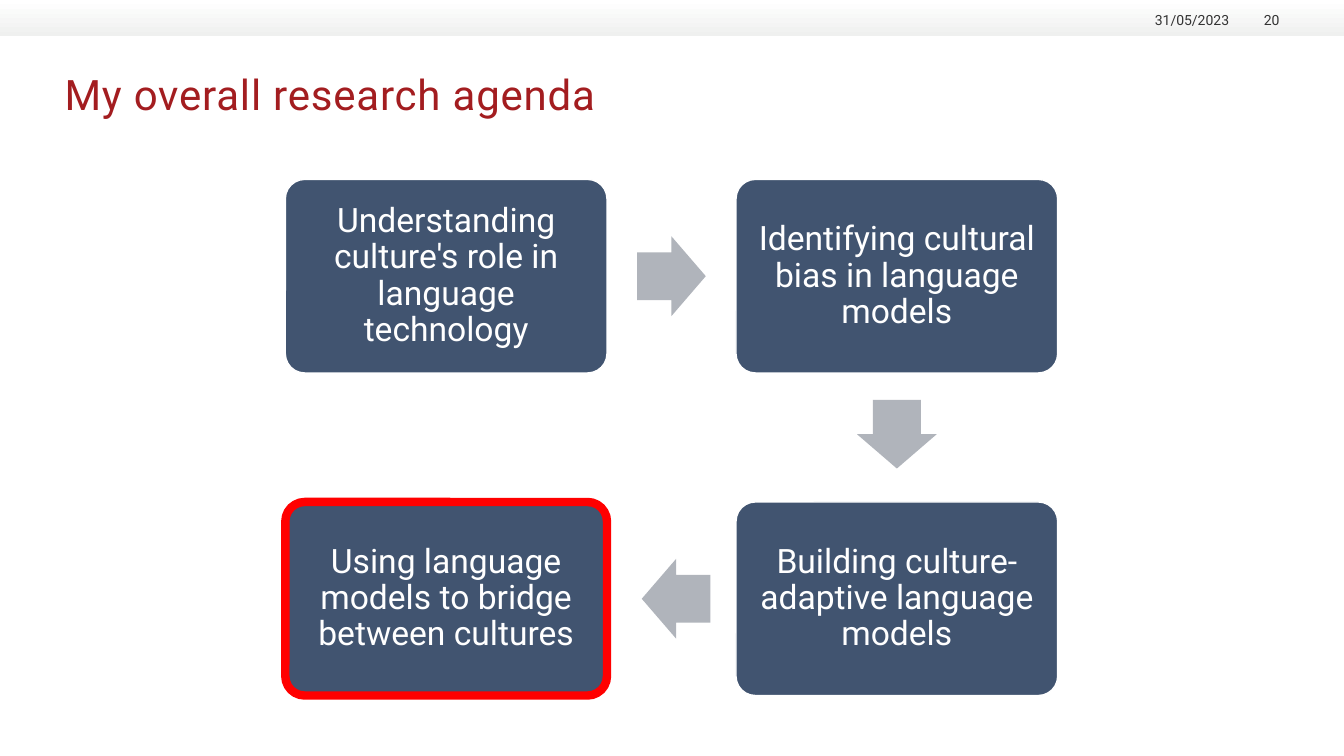
import dataclasses
import typing

import pptx
import pptx.dml.color
import pptx.enum.shapes
import pptx.enum.text
import pptx.util

SHAPES = pptx.enum.shapes.MSO_SHAPE
ANCHOR = pptx.enum.text.MSO_ANCHOR
ALIGN = pptx.enum.text.PP_ALIGN


@dataclasses.dataclass(frozen=True)
class Theme:
    font: str = "Roboto"
    title: str = "A31D20"
    small: str = "333333"
    box: str = "415470"
    arrow: str = "B0B4BB"
    white: str = "FFFFFF"
    band_end: str = "EFF0EF"
    highlight: str = "FF0000"
    title_size: float = 30
    box_size: float = 24
    small_size: float = 10
    line_width: float = 1
    highlight_width: float = 6


@dataclasses.dataclass(frozen=True)
class Grid:
    left: float = 2.83
    top: float = 1.78
    column_step: float = 4.47
    row_step: float = 3.2
    box_width: float = 3.19
    box_height: float = 1.92

    def place(self, column: float, row: float, width: float, height: float) -> "Frame":
        center_x = self.left + column * self.column_step + self.box_width / 2
        center_y = self.top + row * self.row_step + self.box_height / 2
        return Frame(center_x - width / 2, center_y - height / 2, width, height)


class Frame(typing.NamedTuple):
    left: float
    top: float
    width: float
    height: float

    def lengths(self) -> list[int]:
        return [pptx.util.Inches(value) for value in self]


@dataclasses.dataclass(frozen=True)
class Label:
    text: str
    frame: Frame
    size: float
    color: str
    anchor: typing.Any
    align: typing.Any
    tracking: int = 0


@dataclasses.dataclass(frozen=True)
class Step:
    text: str
    column: int
    row: int
    highlighted: bool = False


@dataclasses.dataclass(frozen=True)
class Arrow:
    column: float
    row: float
    rotation: float


THEME = Theme()
GRID = Grid()
SLIDE_WIDTH, SLIDE_HEIGHT = 13.33, 7.5
ARROW_WIDTH, ARROW_HEIGHT = 0.68, 0.79
BOX_INSET = 0.1

LABELS = [
    Label("My overall research agenda", Frame(0.64, 0.68, 12.04, 0.94),
          THEME.title_size, THEME.title, ANCHOR.TOP, ALIGN.LEFT, 60),
    Label("31/05/2023", Frame(11.3, 0.09, 0.89, 0.19),
          THEME.small_size, THEME.small, ANCHOR.BOTTOM, ALIGN.RIGHT),
    Label("20", Frame(12.27, 0.09, 0.42, 0.19),
          THEME.small_size, THEME.small, ANCHOR.BOTTOM, ALIGN.RIGHT),
]
STEPS = [
    Step("Understanding culture's role in language technology", 0, 0),
    Step("Identifying cultural bias in language models", 1, 0),
    Step("Building culture-adaptive language models", 1, 1),
    Step("Using language models to bridge between cultures", 0, 1, True),
]
ARROWS = [Arrow(0.5, 0, 0), Arrow(1, 0.49, 90), Arrow(0.51, 1, 180)]


def rgb(color: str) -> pptx.dml.color.RGBColor:
    return pptx.dml.color.RGBColor.from_string(color)


def apply(target: typing.Any, values: dict[str, typing.Any]) -> None:
    for name, value in values.items():
        setattr(target, name, value)


def write(shape: typing.Any, text: str, size: float, color: str, anchor: typing.Any,
          align: typing.Any, inset: float = 0, spacing: float = 1) -> typing.Any:
    frame = shape.text_frame
    margins = ("margin_left", "margin_top", "margin_right", "margin_bottom")
    apply(frame, dict.fromkeys(margins, pptx.util.Inches(inset)))
    apply(frame, {"word_wrap": True, "vertical_anchor": anchor})
    para = frame.paragraphs[0]
    apply(para, {"alignment": align, "line_spacing": spacing})
    span = para.add_run()
    span.text = text
    apply(span.font, {"name": THEME.font, "size": pptx.util.Pt(size)})
    span.font.color.rgb = rgb(color)
    return span


def add_plain(page: typing.Any, kind: typing.Any, frame: Frame, color: str) -> typing.Any:
    shape = page.shapes.add_shape(kind, *frame.lengths())
    shape.shadow.inherit = False
    shape.fill.solid()
    shape.fill.fore_color.rgb = rgb(color)
    shape.line.fill.background()
    return shape


def add_band(page: typing.Any) -> None:
    band = add_plain(page, SHAPES.RECTANGLE, Frame(0, 0, SLIDE_WIDTH, 0.36), THEME.white)
    band.fill.gradient()
    band.fill.gradient_angle = 270
    for stop, position, color in zip(
            band.fill.gradient_stops, (0, 1), (THEME.white, THEME.band_end)):
        stop.position = position
        stop.color.rgb = rgb(color)


def add_label(page: typing.Any, label: Label) -> None:
    box = page.shapes.add_textbox(*label.frame.lengths())
    span = write(box, label.text, label.size, label.color, label.anchor, label.align)
    if label.tracking:
        span.font._element.set("spc", str(label.tracking))


def add_step(page: typing.Any, step: Step) -> None:
    frame = GRID.place(step.column, step.row, GRID.box_width, GRID.box_height)
    box = add_plain(page, SHAPES.ROUNDED_RECTANGLE, frame, THEME.box)
    box.adjustments[0] = 0.1
    box.line.color.rgb = rgb(THEME.highlight if step.highlighted else THEME.white)
    box.line.width = pptx.util.Pt(
        THEME.highlight_width if step.highlighted else THEME.line_width)
    write(box, step.text, THEME.box_size, THEME.white, ANCHOR.MIDDLE,
          ALIGN.CENTER, BOX_INSET, 0.9)


def add_arrow(page: typing.Any, arrow: Arrow) -> None:
    frame = GRID.place(arrow.column, arrow.row, ARROW_WIDTH, ARROW_HEIGHT)
    shape = add_plain(page, SHAPES.RIGHT_ARROW, frame, THEME.arrow)
    shape.adjustments[0] = 0.6
    shape.adjustments[1] = 0.5
    shape.rotation = arrow.rotation


def main() -> None:
    deck = pptx.Presentation()
    apply(deck, {"slide_width": pptx.util.Inches(SLIDE_WIDTH),
                 "slide_height": pptx.util.Inches(SLIDE_HEIGHT)})
    page = deck.slides.add_slide(deck.slide_layouts[6])
    add_band(page)
    for label in LABELS:
        add_label(page, label)
    for step in STEPS:
        add_step(page, step)
    for arrow in ARROWS:
        add_arrow(page, arrow)
    deck.save("out.pptx")


if __name__ == "__main__":
    main()
